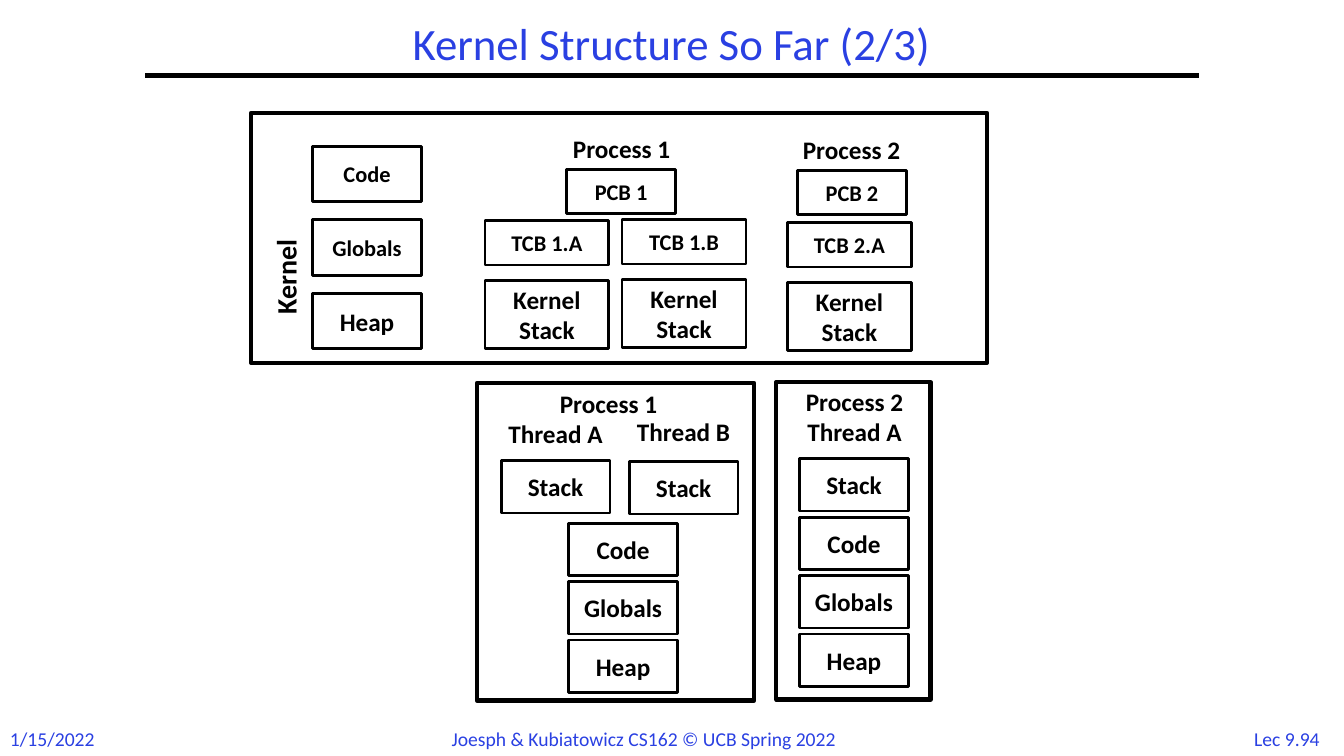
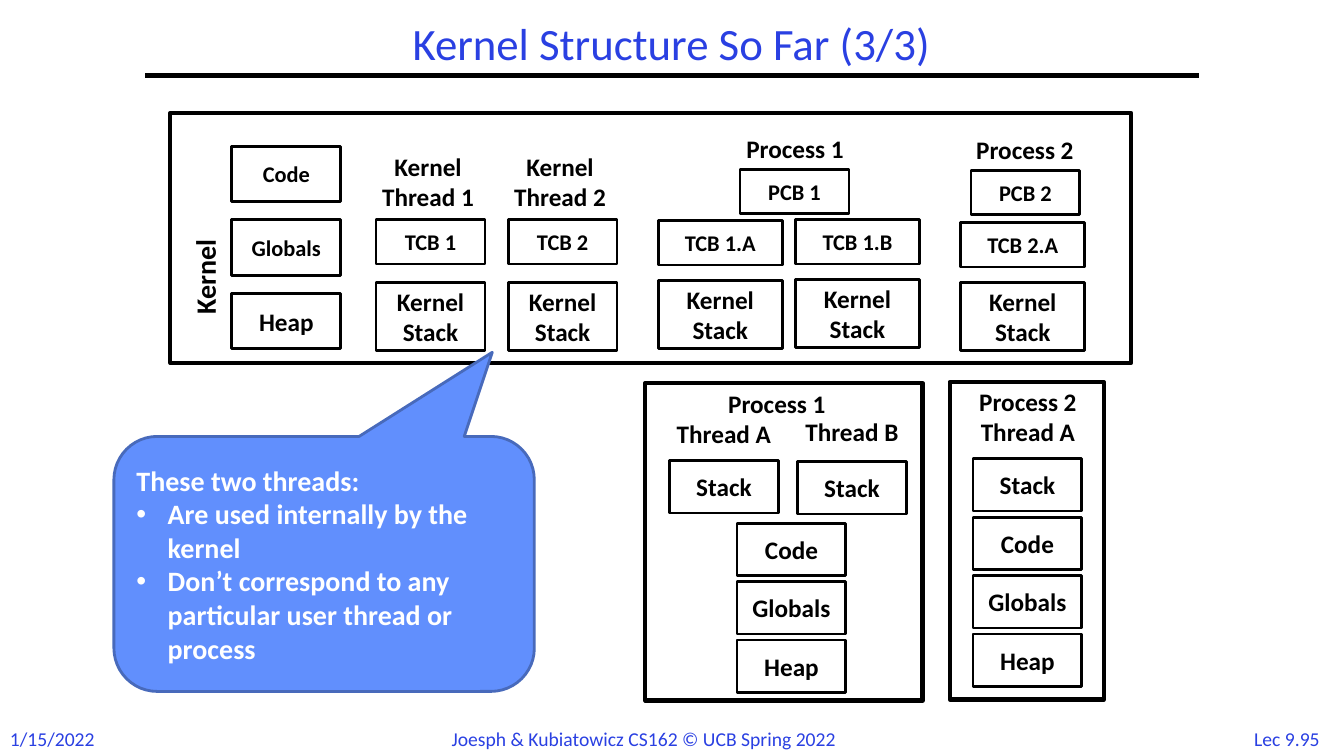
from lxml.etree import SubElement
from pptx import Presentation
from pptx.dml.color import RGBColor
from pptx.enum.shapes import MSO_CONNECTOR, MSO_SHAPE as SHAPE
from pptx.enum.text import MSO_ANCHOR as ANCHOR, PP_ALIGN as ALIGN
from pptx.oxml.ns import qn
from pptx.util import Inches, Pt

BLACK = RGBColor(0x00, 0x00, 0x00)
WHITE = RGBColor(0xFF, 0xFF, 0xFF)
TITLE_BLUE = RGBColor(0x2A, 0x40, 0xE2)
CALLOUT_FILL = RGBColor(0x61, 0x8F, 0xFD)
CALLOUT_LINE = RGBColor(0x48, 0x6A, 0xBB)

SMALL_WIDTH, TCB_WIDTH = 1.08, 1.23
STACK_TEXT = "Kernel\vStack"


def write(shape, text, size, color=BLACK, bold=True, align=ALIGN.CENTER):
    shape.text_frame.text = text
    for para in shape.text_frame.paragraphs:
        para.alignment = align
        for span in para.runs:
            span.font.name = "Calibri"
            span.font.size = Pt(size)
            span.font.bold = bold
            span.font.color.rgb = color


def add_box(page, text, left, top, width, height, size=18, outline=2):
    place = [Inches(value) for value in (left, top, width, height)]
    if outline:
        box = page.shapes.add_shape(SHAPE.RECTANGLE, *place)
        box.shadow.inherit = False
        box.fill.background()
        box.line.color.rgb = BLACK
        box.line.width = Pt(outline)
        box.text_frame.vertical_anchor = ANCHOR.MIDDLE
    else:
        box = page.shapes.add_textbox(*place)
        box.text_frame.word_wrap = False
    write(box, text, size)
    return box


deck = Presentation()
deck.slide_width, deck.slide_height = Inches(13.33), Inches(7.5)

slides = [
    dict(part="2/3", number="9.94", kernel=2.49, kernel_width=7.3,
         kernel_processes=4.81, process_1=4.73, process_2=7.7, threads=[]),
    dict(part="3/3", number="9.95", kernel=1.69, kernel_width=9.53,
         kernel_processes=6.53, process_1=6.4, process_2=9.42, threads=[3.73, 5.04]),
]

for slide in slides:
    page = deck.slides.add_slide(deck.slide_layouts[6])

    title = add_box(page, "", 1.44, 0.17, 10.44, 0.58, outline=0)
    title.text_frame.word_wrap = True
    title.text_frame.vertical_anchor = ANCHOR.MIDDLE
    write(title, f"Kernel Structure So Far ({slide['part']})", 32, TITLE_BLUE, False)
    title.text_frame.paragraphs[0].line_spacing = 0.9

    rule = page.shapes.add_connector(
        MSO_CONNECTOR.STRAIGHT, Inches(1.44), Inches(0.75), Inches(11.89), Inches(0.75))
    rule.line.color.rgb = BLACK
    rule.line.width = Pt(3)
    SubElement(rule._element.spPr, qn("a:effectLst"))

    for text, left, width, align in [
        ("1/15/2022", 0, 1.07, ALIGN.LEFT),
        ("Joesph & Kubiatowicz CS162 © UCB Spring 2022", 4.38, 4.55, ALIGN.LEFT),
        (f"Lec {slide['number']}", 12.28, 0.97, ALIGN.CENTER),
    ]:
        footer = add_box(page, "", left, 7.16, width, 0.34, outline=0)
        write(footer, text, 14, TITLE_BLUE, False, align)

    kernel = slide["kernel"]
    add_box(page, "", kernel, 1.12, slide["kernel_width"], 2.48, outline=3)
    kernel_label = add_box(page, "Kernel", kernel + 0.07, 1.91, 0.54, 1.68, 20, 0)
    kernel_label.text_frame.vertical_anchor = ANCHOR.MIDDLE
    kernel_label.text_frame._txBody.bodyPr.set("vert", "vert270")
    for row, (text, size) in enumerate([("Code", 16), ("Globals", 16), ("Heap", 18)]):
        add_box(page, text, kernel + 0.61, 1.45 + 0.73 * row, SMALL_WIDTH, 0.55, size)

    for number, left in enumerate(slide["threads"], 1):
        add_box(page, f"Kernel\nThread {number}", left - 0.11, 1.45, 1.25, 0.71, outline=0)
        add_box(page, f"TCB {number}", left, 2.18, SMALL_WIDTH, 0.44, 16)
        add_box(page, STACK_TEXT, left, 2.8, SMALL_WIDTH, 0.68)

    left = slide["kernel_processes"]
    for number, offset, top in [(1, 0.81, 1.68), (2, 3.1, 1.69)]:
        label_left = left + (0.66 if number == 1 else 2.94)
        add_box(page, f"Process {number}", label_left, top - 0.41, 1.39, 0.4, outline=0)
        add_box(page, f"PCB {number}", left + offset, top, SMALL_WIDTH, 0.44, 16)
    for name, offset, top in [("1.A", 0, 2.19), ("1.B", 1.36, 2.18), ("2.A", 3, 2.21)]:
        add_box(page, f"TCB {name}", left + offset, top, TCB_WIDTH, 0.44, 16)
        add_box(page, STACK_TEXT, left + offset, top + 0.59, TCB_WIDTH, 0.68)

    left = slide["process_1"]
    add_box(page, "", left, 3.8, 2.75, 3.15, outline=3)
    add_box(page, "Process 1", left + 0.61, 3.8, 1.39, 0.4, outline=0)
    for name, offset, label_top, top in [("A", 0.24, 4.1, 4.57), ("B", 1.51, 4.08, 4.58)]:
        add_box(page, f"Thread {name}", left + offset - 0.11, label_top, 1.3, 0.4, outline=0)
        add_box(page, "Stack", left + offset, top, SMALL_WIDTH, 0.52)
    for row, text in enumerate(["Code", "Globals", "Heap"]):
        add_box(page, text, left + 0.91, 5.19 + 0.58 * row, SMALL_WIDTH, 0.52)

    left = slide["process_2"]
    add_box(page, "", left, 3.79, 1.53, 3.15, outline=3)
    add_box(page, "Process 2\vThread A", left + 0.08, 3.78, 1.39, 0.71, outline=0)
    for row, text in enumerate(["Stack", "Code", "Globals", "Heap"]):
        add_box(page, text, left + 0.23, 4.55 + 0.58 * row, SMALL_WIDTH, 0.52)

    if slide["threads"]:
        callout = page.shapes.add_shape(
            SHAPE.ROUNDED_RECTANGULAR_CALLOUT,
            Inches(1.13), Inches(4.33), Inches(4.17), Inches(2.53))
        for index, value in enumerate([0.4, -0.83, 0.17]):
            callout.adjustments[index] = value
        callout.shadow.inherit = False
        callout.fill.solid()
        callout.fill.fore_color.rgb = CALLOUT_FILL
        callout.line.color.rgb = CALLOUT_LINE
        callout.line.width = Pt(2)
        callout.text_frame.vertical_anchor = ANCHOR.MIDDLE
        write(callout, "These two threads:\nAre used internally by the kernel\n"
              "Don’t correspond to any particular user thread or process",
              20, WHITE, align=ALIGN.LEFT)
        for para in callout.text_frame.paragraphs[1:]:
            properties = para._p.get_or_add_pPr()
            properties.set("marL", str(Inches(0.31)))
            properties.set("indent", str(-Inches(0.31)))
            SubElement(properties, qn("a:buFont"), typeface="Arial")
            SubElement(properties, qn("a:buChar"), char="•")

deck.save("out.pptx")
